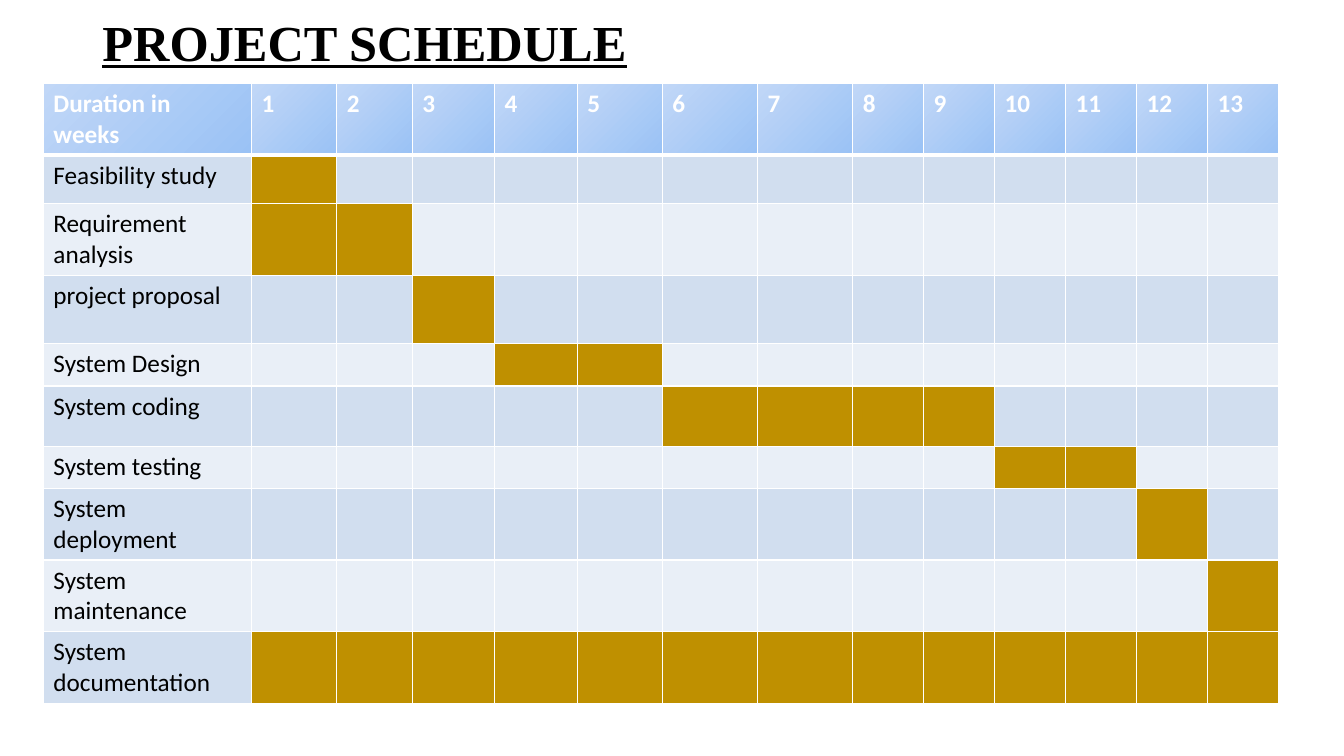
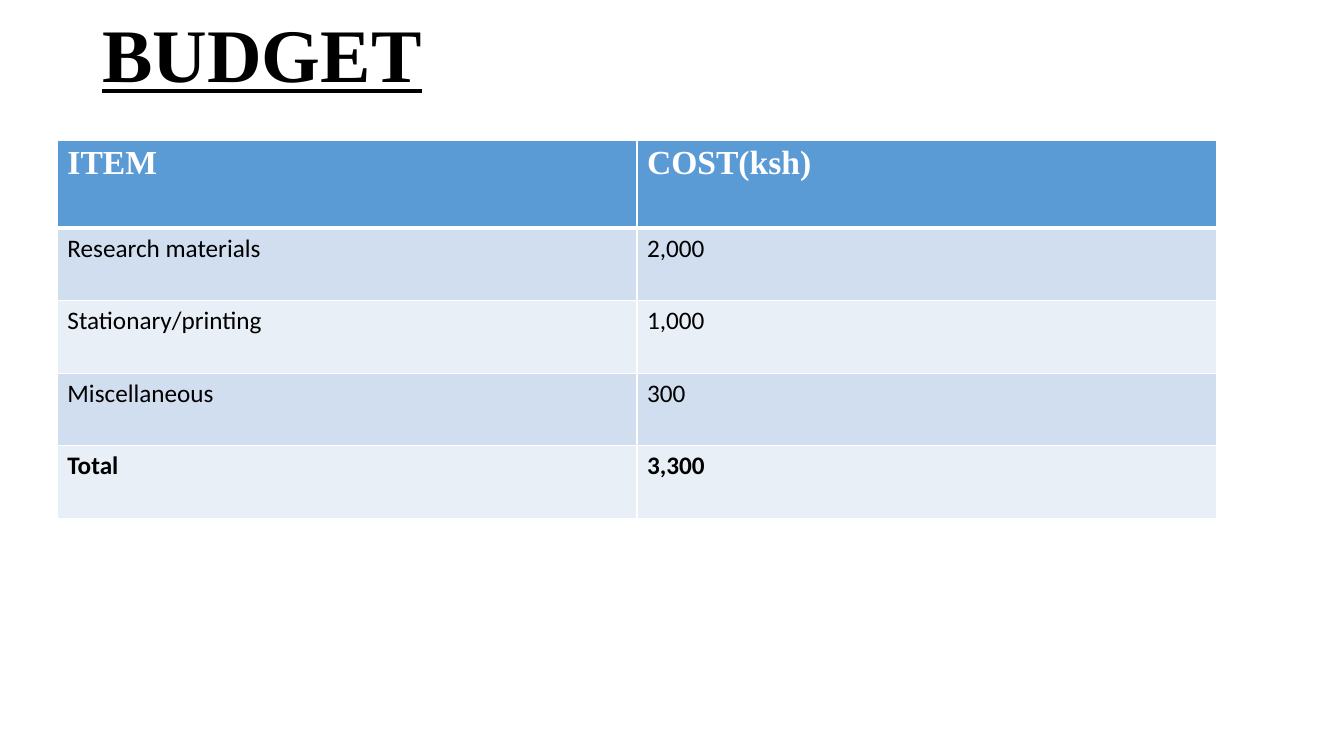
import lxml.etree
import pptx
import pptx.dml.color
import pptx.enum.text
import pptx.oxml.ns
import pptx.util

Pt = pptx.util.Pt
qn = pptx.oxml.ns.qn

WHITE, BLACK = "FFFFFF", "000000"
BANDS = ("D1DEEF", "E9EFF7")
BLUE, GOLD = "5B9BD5", "BF9000"
PALE_GRADIENT = ("9AC2F5", "C1D7F7")
SERIF, SANS = "Times New Roman", "Calibri"
THIN, THICK = 0.96, 3

TITLE_FONT = {"name": SERIF, "bold": True, "underline": True}
BODY_FONT = {"name": SANS, "size": Pt(18), "bold": False}
BOLD_FONT = {**BODY_FONT, "bold": True}
COST_HEAD_FONT = {"name": SERIF, "size": Pt(24), "bold": True}

WEEKS = 13
WEEK_WIDTHS = [61, 54, 58.6, 59.3, 60.7, 68, 68] + [50.7] * 6
# Task, first week, last week, row height
TASKS = [
    ("Feasibility study", 1, 1, 34.6),
    ("Requirement analysis", 1, 2, 51),
    ("project proposal", 3, 3, 49),
    ("System Design", 4, 5, 30.2),
    ("System coding", 6, 9, 43),
    ("System testing", 10, 11, 30.2),
    ("System deployment", 12, 12, 51),
    ("System maintenance", 13, 13, 51),
    ("System documentation", 1, WEEKS, 51),
]
COSTS = [
    ("Research materials", "2,000"),
    ("Stationary/printing", "1,000"),
    ("Miscellaneous", "300"),
    ("Total", "3,300"),
]


def rgb(color):
    return pptx.dml.color.RGBColor.from_string(color)


def set_font(font, color, values):
    for name, value in values.items():
        setattr(font, name, value)
    font.color.rgb = rgb(color)


def set_borders(cell, bottom):
    tc_pr = cell._tc.get_or_add_tcPr()
    for side, width in (("L", THIN), ("R", THIN), ("T", THIN), ("B", bottom)):
        ln = lxml.etree.SubElement(tc_pr, qn(f"a:ln{side}"), w=str(int(Pt(width))))
        fill = lxml.etree.SubElement(ln, qn("a:solidFill"))
        lxml.etree.SubElement(fill, qn("a:srgbClr"), val=WHITE)


def set_fill(fill, color):
    """Fill with one colour, or with a diagonal gradient for a pair."""
    if isinstance(color, str):
        fill.solid()
        fill.fore_color.rgb = rgb(color)
        return
    fill.gradient()
    fill.gradient_angle = 135
    for stop, stop_color in zip(fill.gradient_stops, color):
        stop.color.rgb = rgb(stop_color)


def format_cell(cell, text, fill, color, font, bottom=THIN):
    set_borders(cell, bottom)
    set_fill(cell.fill, fill)
    if text:
        p = cell.text_frame.paragraphs[0]
        r = p.add_run()
        r.text = text
        set_font(r.font, color, font)


def add_titled_slide(prs, text, box, size):
    slide = prs.slides.add_slide(prs.slide_layouts[5])
    sp = slide.shapes.title
    sp.left, sp.top, sp.width, sp.height = map(Pt, box)
    tf = sp.text_frame
    tf.auto_size = pptx.enum.text.MSO_AUTO_SIZE.NONE
    tf.vertical_anchor = pptx.enum.text.MSO_ANCHOR.MIDDLE
    p = tf.paragraphs[0]
    p.alignment = pptx.enum.text.PP_ALIGN.LEFT
    p.line_spacing = 0.9
    r = p.add_run()
    r.text = text
    set_font(r.font, BLACK, {**TITLE_FONT, "size": Pt(size)})
    return slide


def add_grid(slide, left, top, widths, heights):
    table = slide.shapes.add_table(
        len(heights), len(widths), Pt(left), Pt(top), Pt(sum(widths)), Pt(sum(heights))
    ).table
    for column, width in zip(table.columns, widths):
        column.width = Pt(width)
    for row, height in zip(table.rows, heights):
        row.height = Pt(height)
    return table


def add_header(table, labels, fill, font):
    for i, label in enumerate(labels):
        format_cell(table.cell(0, i), label, fill, WHITE, font, THICK)


def add_schedule(slide, left, top):
    heights = [51] + [task[-1] for task in TASKS]
    table = add_grid(slide, left, top, [148.6] + WEEK_WIDTHS, heights)
    weeks = range(1, WEEKS + 1)
    add_header(table, ["Duration in weeks", *map(str, weeks)], PALE_GRADIENT, BOLD_FONT)
    for i, (task, first, last, _) in enumerate(TASKS, 1):
        band = BANDS[(i - 1) % 2]
        format_cell(table.cell(i, 0), task, band, BLACK, BODY_FONT)
        for week in weeks:
            fill = GOLD if first <= week <= last else band
            format_cell(table.cell(i, week), "", fill, BLACK, BODY_FONT)


def add_budget(slide, left, top, width):
    table = add_grid(slide, left, top, [width / 2] * 2, [63] + [51.8] * len(COSTS))
    add_header(table, ["ITEM", "COST(ksh)"], BLUE, COST_HEAD_FONT)
    for i, row in enumerate(COSTS, 1):
        font = BOLD_FONT if i == len(COSTS) else BODY_FONT
        for j, text in enumerate(row):
            format_cell(table.cell(i, j), text, BANDS[(i - 1) % 2], BLACK, font)


def main():
    prs = pptx.Presentation()
    prs.slide_width, prs.slide_height = Pt(960), Pt(540)
    slide = add_titled_slide(prs, "PROJECT SCHEDULE", (66, 10, 828, 44), 36)
    add_schedule(slide, 31, 59.6)
    slide = add_titled_slide(prs, "BUDGET", (66, 8, 828, 67.5), 54)
    add_budget(slide, 41, 100, 828)
    prs.save("out.pptx")


if __name__ == "__main__":
    main()
